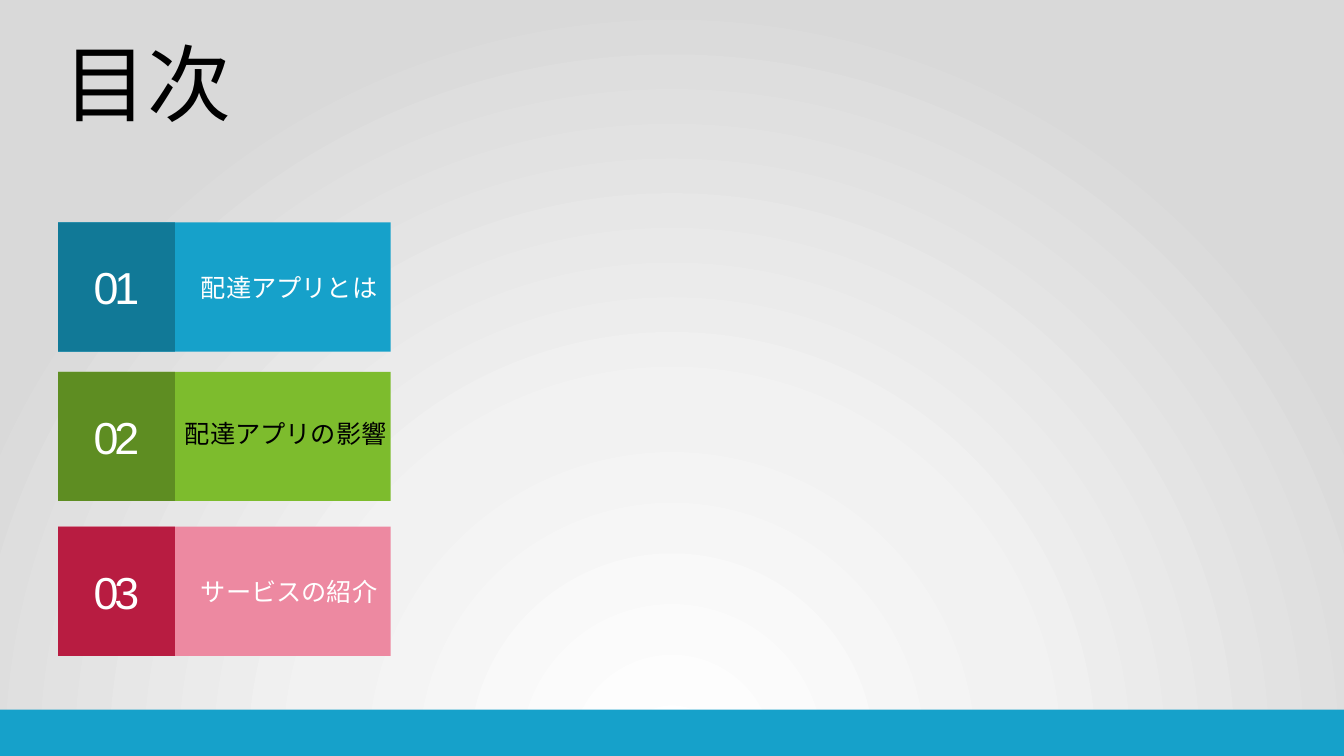
import pptx
import pptx.dml.color
import pptx.enum.shapes
import pptx.enum.text
import pptx.oxml
import pptx.oxml.ns
import pptx.util

Pt = pptx.util.Pt
ALIGN = pptx.enum.text.PP_ALIGN
ANCHOR = pptx.enum.text.MSO_ANCHOR

COLORS = {
    "blue": "16A1CA", "deep blue": "117997",
    "green": "7DBC2D", "deep green": "5E8D22",
    "pink": "ED89A1", "deep red": "B81C41",
    "white": "FFFFFF", "black": "000000",
    "pale grey": "F2F2F2", "grey": "D9D9D9",
}


class Deck:
    body_font = "Calibri"
    number_font = "Arial"

    def __init__(self, width, height):
        self.prs = pptx.Presentation()
        self.prs.slide_width, self.prs.slide_height = Pt(width), Pt(height)
        self.slide = self.prs.slides.add_slide(self.prs.slide_layouts[6])

    def radial_background(self, stops):
        self.slide.background.fill.gradient()
        grad = self.slide.element.find(".//" + pptx.oxml.ns.qn("a:gradFill"))
        for child in list(grad):
            grad.remove(child)
        marks = "".join(
            f'<a:gs pos="{percent * 1000}"><a:srgbClr val="{COLORS[color]}"/></a:gs>'
            for percent, color in stops)
        ns = pptx.oxml.ns.nsdecls("a")
        grad.append(pptx.oxml.parse_xml(f"<a:gsLst {ns}>{marks}</a:gsLst>"))
        grad.append(pptx.oxml.parse_xml(
            f'<a:path {ns} path="circle">'
            '<a:fillToRect l="50000" t="130000" r="50000" b="-30000"/></a:path>'))

    def block(self, left, top, width, height, color):
        block = self.slide.shapes.add_shape(
            pptx.enum.shapes.MSO_SHAPE.RECTANGLE,
            Pt(left), Pt(top), Pt(width), Pt(height))
        block.shadow.inherit = False
        block.fill.solid()
        block.fill.fore_color.rgb = pptx.dml.color.RGBColor.from_string(COLORS[color])
        block.line.fill.background()
        block.text_frame.vertical_anchor = ANCHOR.MIDDLE
        return block.text_frame

    def text_box(self, left, top, width, height):
        frame = self.slide.shapes.add_textbox(
            Pt(left), Pt(top), Pt(width), Pt(height)).text_frame
        frame.word_wrap = True
        frame.auto_size = pptx.enum.text.MSO_AUTO_SIZE.SHAPE_TO_FIT_TEXT
        return frame

    def add_text(self, frame, words, size, color, font=body_font,
                 align=ALIGN.LEFT, indent=0, spacing=0):
        paragraph = frame.paragraphs[0]
        paragraph.alignment = align
        if indent:
            props = paragraph._p.get_or_add_pPr()
            props.set("marL", str(Pt(indent)))
            props.set("indent", "0")
        run = paragraph.add_run()
        run.text = words
        run.font.name, run.font.size = font, Pt(size)
        run.font.color.rgb = pptx.dml.color.RGBColor.from_string(COLORS[color])
        if spacing:
            run._r.get_or_add_rPr().set("spc", str(spacing * 100))


WIDTH, HEIGHT = 960, 540
deck = Deck(WIDTH, HEIGHT)
deck.radial_background([(0, "white"), (46, "pale grey"), (100, "grey")])

# Title and footer band
deck.add_text(deck.text_box(38.2, 18.7, 442, 80), "目次", 60, "black")
FOOTER = 33.2
deck.block(0, HEIGHT - FOOTER, WIDTH, FOOTER, "blue")

# Agenda entries: wide bar with a darker number tile on its left end
LEFT, BAR, TILE, ROW = 41.5, 237.6, 83.5, 92.3
entries = [
    (158.9, "配達アプリとは", "blue", "deep blue"),
    (265.6, "", "green", "deep green"),
    (376.2, "サービスの紹介", "pink", "deep red"),
]
for number, (top, topic, bar_color, tile_color) in enumerate(entries, 1):
    bar = deck.block(LEFT, top, BAR, ROW, bar_color)
    if topic:
        deck.add_text(bar, topic, 18, "white", indent=95)
    tile = deck.block(LEFT, top, TILE, ROW, tile_color)
    deck.add_text(tile, f"{number:02}", 32, "white", deck.number_font,
                  ALIGN.CENTER, spacing=-3)

# The second topic sits in its own box, as it is wider than the bar's text area
deck.add_text(deck.text_box(LEFT + TILE, 295.2, 178, 36), "配達アプリの影響", 18, "black")

deck.prs.save("out.pptx")
